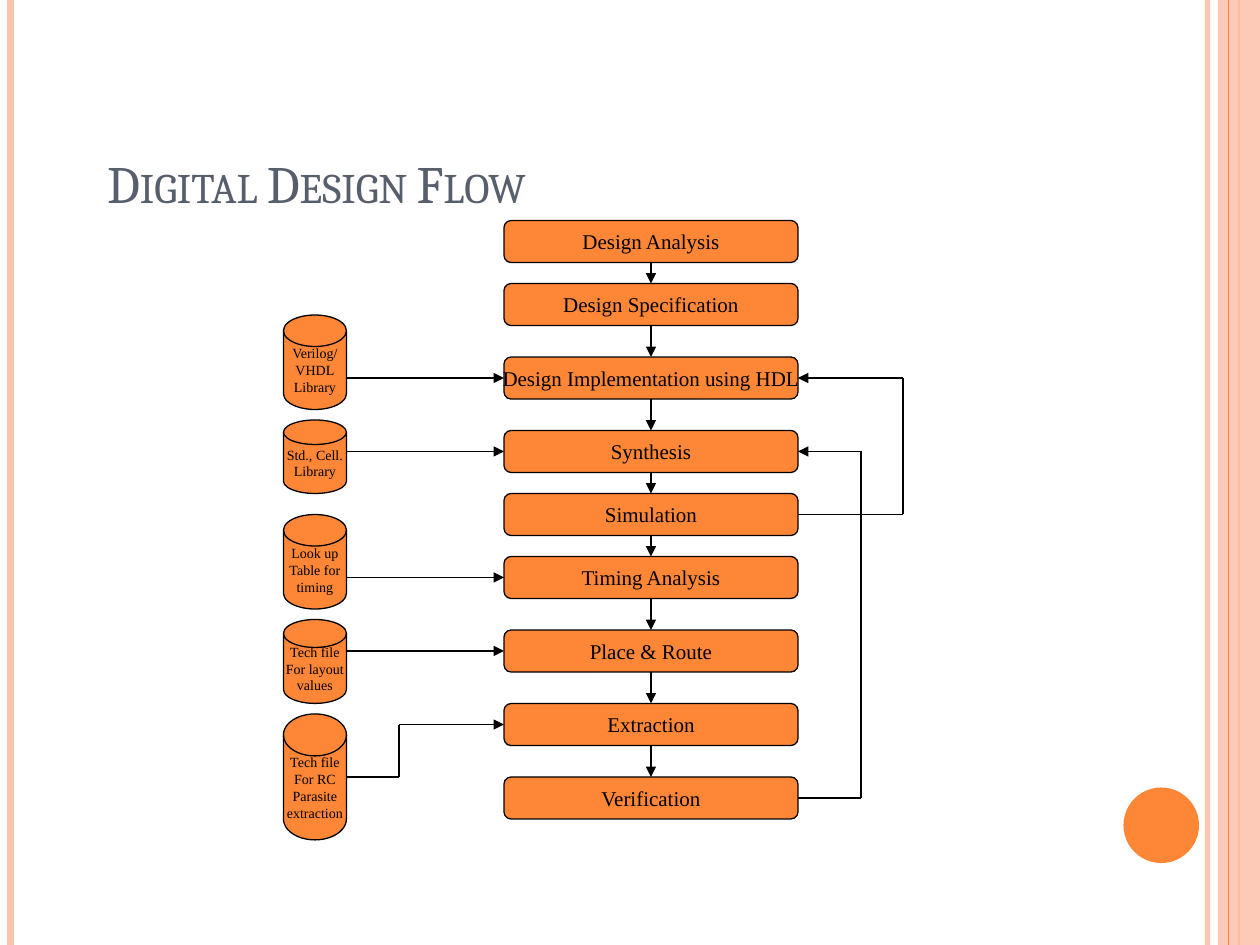
from dataclasses import dataclass

from lxml import etree
from pptx import Presentation
from pptx.dml import color
from pptx.enum import shapes, text
from pptx.oxml import ns
from pptx.util import Pt

ORANGE, PEACH, BLACK, SLATE = "FE8637", "FEC3AE", "000000", "575F6D"
BOX_LEFT, BOX_WIDTH, BOX_HEIGHT = 288, 168, 24
BOX_RIGHT, BOX_CENTER = BOX_LEFT + BOX_WIDTH, BOX_LEFT + BOX_WIDTH / 2
DISK_LEFT, DISK_WIDTH = 162, 36
DISK_RIGHT = DISK_LEFT + DISK_WIDTH


@dataclass
class Step:
    label: str
    top: float

    @property
    def middle(self) -> float:
        return self.top + BOX_HEIGHT / 2


@dataclass
class Library:
    label: str
    top: float
    height: float
    step: int


@dataclass
class Rule:
    x: float
    colour: str
    width: float
    alpha: int = 100


STEPS = [
    Step("Design Analysis", 126),
    Step("Design Specification", 162),
    Step("Design Implementation using HDL", 204),
    Step("Synthesis", 246),
    Step("Simulation", 282),
    Step("Timing Analysis", 318),
    Step("Place & Route", 360),
    Step("Extraction", 402),
    Step("Verification", 444),
]
LIBRARIES = [
    Library("Verilog/\nVHDL\nLibrary", 180, 54, 2),
    Library("Std., Cell.\nLibrary", 240, 42, 3),
    Library("Look up\nTable for\ntiming", 294, 54, 5),
    Library("Tech file\nFor layout\nvalues", 354, 48, 6),
    Library("Tech file\nFor RC\nParasite\nextraction", 408, 72, 7),
]
BACK_RULES = [Rule(690, PEACH, 3, 93), Rule(6, PEACH, 4.5), Rule(708, ORANGE, 1.5)]
FRONT_RULE = Rule(702, ORANGE, 0.75)


def rgb(value: str) -> color.RGBColor:
    return color.RGBColor.from_string(value)


def set_alpha(element, percent: int) -> None:
    """Make the solid colour inside an element translucent."""
    colour = next(element.iter(ns.qn("a:srgbClr")))
    etree.SubElement(colour, ns.qn("a:alpha"), val=str(percent * 1000))


def add_line(slide, start, end, colour=BLACK, width=0.75, arrow=False):
    line = slide.shapes.add_connector(
        shapes.MSO_CONNECTOR.STRAIGHT, *(Pt(value) for value in (*start, *end)))
    line.line.color.rgb = rgb(colour)
    line.line.width = Pt(width)
    if arrow:
        etree.SubElement(line.line._get_or_add_ln(), ns.qn("a:tailEnd"), type="triangle")
    etree.SubElement(line._element.spPr, ns.qn("a:effectLst"))
    return line


def add_route(slide, *points: tuple[float, float]) -> None:
    """Join points with straight lines; the last one has the arrowhead."""
    for index, (start, end) in enumerate(zip(points, points[1:]), 2):
        add_line(slide, start, end, arrow=index == len(points))


def add_rule(slide, rule: Rule) -> None:
    line = add_line(slide, (rule.x, 0), (rule.x, 540), rule.colour, rule.width)
    if rule.alpha < 100:
        set_alpha(line._element.spPr, rule.alpha)


def add_filled(slide, kind, left, top, width, height, colour=ORANGE):
    shape = slide.shapes.add_shape(kind, Pt(left), Pt(top), Pt(width), Pt(height))
    shape.shadow.inherit = False
    shape.fill.solid()
    shape.fill.fore_color.rgb = rgb(colour)
    shape.line.fill.background()
    return shape


def add_node(slide, kind, left, top, width, height, label: str, size: float) -> None:
    shape = add_filled(slide, kind, left, top, width, height)
    shape.line.color.rgb = rgb(BLACK)
    shape.line.width = Pt(0.75)
    frame = shape.text_frame
    frame.text = label
    frame.word_wrap = False
    frame.vertical_anchor = text.MSO_ANCHOR.MIDDLE
    for paragraph in frame.paragraphs:
        paragraph.alignment = text.PP_ALIGN.CENTER
        paragraph.font.name = "Times New Roman"
        paragraph.font.size = Pt(size)
        paragraph.font.color.rgb = rgb(BLACK)


def add_title(slide, label: str) -> None:
    title = slide.shapes.title
    title.left, title.top, title.width, title.height = Pt(54), Pt(36), Pt(612), Pt(90)
    frame = title.text_frame
    frame.text = label
    frame.auto_size = text.MSO_AUTO_SIZE.NONE
    frame.vertical_anchor = text.MSO_ANCHOR.BOTTOM
    paragraph = frame.paragraphs[0]
    paragraph.alignment = text.PP_ALIGN.LEFT
    font = paragraph.runs[0].font
    font.name, font.size = "Cambria", Pt(30)
    font.color.rgb = rgb(SLATE)
    paragraph.runs[0]._r.get_or_add_rPr().set("cap", "small")


presentation = Presentation()
presentation.slide_width, presentation.slide_height = Pt(720), Pt(540)
slide = presentation.slides.add_slide(presentation.slide_layouts[5])
Kind = shapes.MSO_SHAPE

# Side decoration
for rule in BACK_RULES:
    add_rule(slide, rule)
band = add_filled(slide, Kind.RECTANGLE, 696, 0, 24, 540, PEACH)
set_alpha(band._element.spPr, 87)
add_rule(slide, FRONT_RULE)
add_filled(slide, Kind.OVAL, 642, 450, 43.2, 43.2)

add_title(slide, "Digital Design Flow")

# Libraries and the steps they feed
for library in LIBRARIES:
    add_node(slide, Kind.FLOWCHART_MAGNETIC_DISK, DISK_LEFT, library.top,
             DISK_WIDTH, library.height, library.label, 8)
    target = STEPS[library.step].middle
    if library.top < target < library.top + library.height and library is not LIBRARIES[-1]:
        add_route(slide, (DISK_RIGHT, target), (BOX_LEFT, target))
    else:
        source = library.top + library.height / 2
        add_route(slide, (DISK_RIGHT, source), (228, source), (228, target), (BOX_LEFT, target))

# Design steps, joined from top to bottom
for step in STEPS:
    add_node(slide, Kind.FLOWCHART_ALTERNATE_PROCESS, BOX_LEFT, step.top,
             BOX_WIDTH, BOX_HEIGHT, step.label, 12)
for upper, lower in zip(STEPS, STEPS[1:]):
    add_route(slide, (BOX_CENTER, upper.top + BOX_HEIGHT), (BOX_CENTER, lower.top))

# Feedback loops: Verification to Synthesis, Simulation to Implementation
for source, target, turn in ((8, 3, 492), (4, 2, 516)):
    start, end = STEPS[source].middle, STEPS[target].middle
    add_route(slide, (BOX_RIGHT, start), (turn, start), (turn, end), (BOX_RIGHT, end))

presentation.save("out.pptx")
